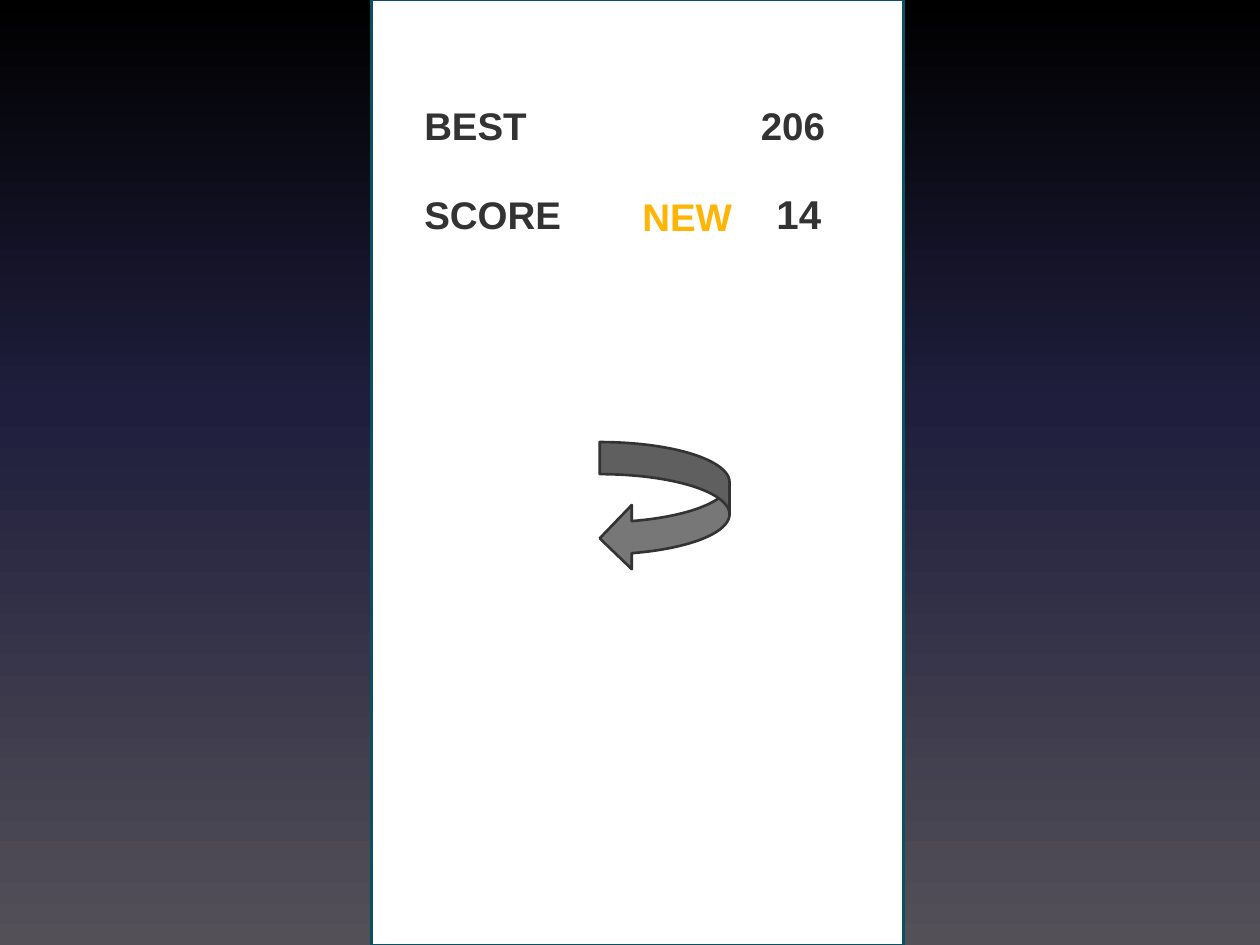
from copy import deepcopy
from dataclasses import dataclass

from pptx import Presentation
from pptx.dml.color import RGBColor
from pptx.enum.shapes import MSO_SHAPE
from pptx.enum.text import MSO_AUTO_SIZE, PP_ALIGN
from pptx.oxml.ns import qn
from pptx.util import Pt

RECTANGLE = MSO_SHAPE.RECTANGLE
CURVED_ARROW = MSO_SHAPE.CURVED_LEFT_ARROW
GROW = MSO_AUTO_SIZE.SHAPE_TO_FIT_TEXT
LEFT, CENTER = PP_ALIGN.LEFT, PP_ALIGN.CENTER


@dataclass(frozen=True)
class Theme:
    font: str = "Arial"
    text_size: float = 22
    score_size: float = 23
    line_width: float = 1.5
    ink: str = "333333"
    accent: str = "FFB505"
    panel: str = "FFFFFF"
    panel_line: str = "0B5061"
    arrow: str = "777777"
    sky: tuple = ((0, "000000"), (0.43, "1F1E3D"), (1, "545058"))


THEME = Theme()


def color(value):
    return RGBColor.from_string(value)


def paint_background(slide):
    fill = slide.background.fill
    fill.gradient()
    fill.gradient_angle = 270
    stop_list = slide.element.find(".//" + qn("a:gsLst"))
    stop_list.insert(1, deepcopy(stop_list[0]))
    for stop, (position, value) in zip(fill.gradient_stops, THEME.sky):
        stop.position = position
        stop.color.rgb = color(value)


def add_outlined_shape(slide, kind, box, fill, line):
    shape = slide.shapes.add_shape(kind, *map(Pt, box))
    shape.shadow.inherit = False
    shape.fill.solid()
    shape.fill.fore_color.rgb = color(fill)
    shape.line.color.rgb = color(line)
    shape.line.width = Pt(THEME.line_width)
    return shape


def add_label(slide, box, text, ink=THEME.ink, size=THEME.text_size,
              align=LEFT, wrap=False):
    frame = slide.shapes.add_textbox(*map(Pt, box)).text_frame
    frame.word_wrap = wrap
    frame.auto_size = GROW
    paragraph = frame.paragraphs[0]
    paragraph.alignment = align
    run = paragraph.add_run()
    run.text = text
    run.font.name = THEME.font
    run.font.size = Pt(size)
    run.font.bold = True
    run.font.color.rgb = color(ink)


def add_scoreboard(slide, box):
    left, top, width, _ = box
    label_height = 33.2
    score_top = top + 51.1
    right = left + width
    add_label(slide, (left, top, 79.2, label_height), "BEST")
    add_label(slide, (left, score_top, 98.6, label_height), "SCORE")
    add_label(slide, (right - 51.1, top, 51.1, label_height), "206")
    add_label(slide, (right - 44.6, score_top - 1.4, 44.6, 35.2), "14",
              size=THEME.score_size, align=CENTER, wrap=True)
    add_label(slide, (left + 124.6, score_top + 0.7, 72, label_height), "NEW",
              ink=THEME.accent)


def add_game_over_screen(slide, box):
    left, top, _, _ = box
    add_outlined_shape(slide, RECTANGLE, box, THEME.panel, THEME.panel_line)
    add_scoreboard(slide, (left + 23, top + 54.7, 243.4, 84.3))
    arrow_box = (left + 130.3, top + 252.6, 74.2, 73.4)
    arrow = add_outlined_shape(slide, CURVED_ARROW, arrow_box,
                               THEME.arrow, THEME.ink)
    for index, value in enumerate((0.25, 0.5, 0.25)):
        arrow.adjustments[index] = value


def main():
    presentation = Presentation()
    presentation.slide_width = Pt(720)
    presentation.slide_height = Pt(540)
    slide = presentation.slides.add_slide(presentation.slide_layouts[6])
    paint_background(slide)
    add_game_over_screen(slide, (212.4, 0, 303.8, 540))
    presentation.save("out.pptx")


if __name__ == "__main__":
    main()
